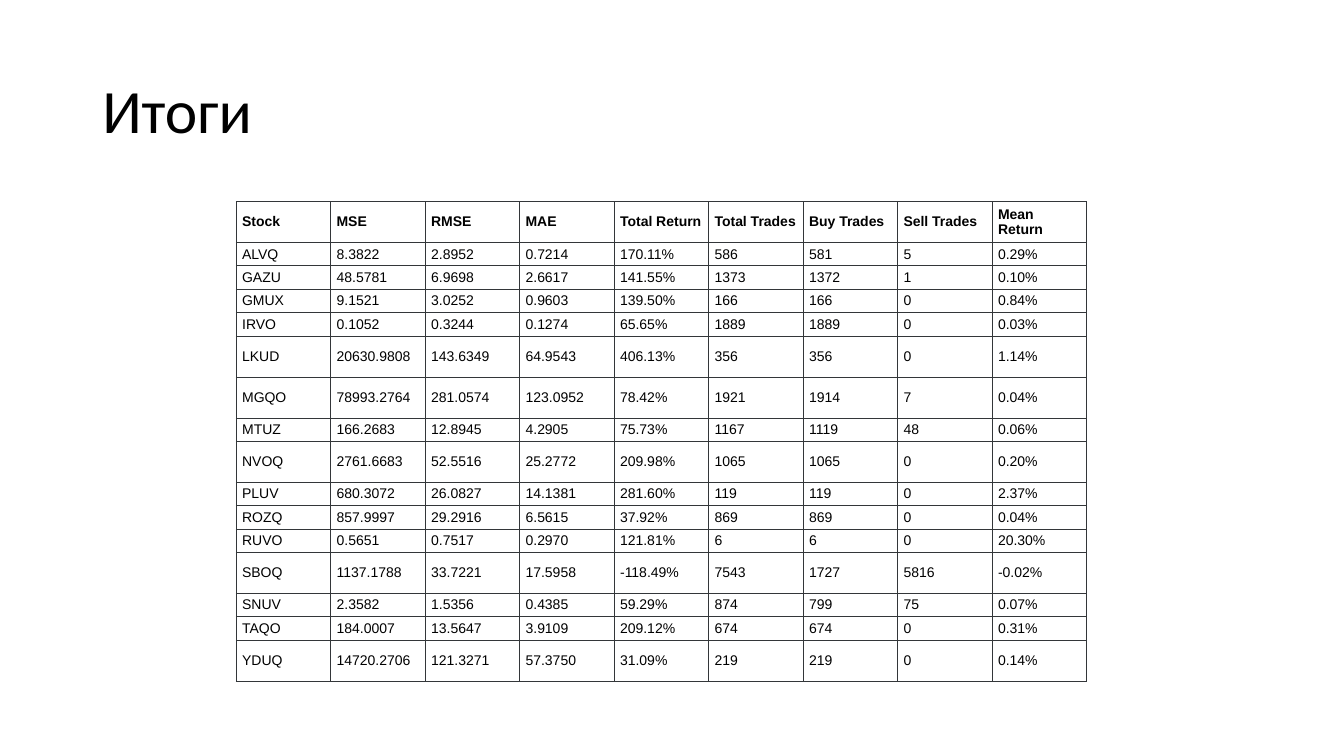
"""Build a slide with a table of trading results per stock."""
import pptx
import pptx.dml.color
import pptx.enum.text
import pptx.oxml
import pptx.oxml.ns
import pptx.util

Pt = pptx.util.Pt
MIDDLE = pptx.enum.text.MSO_ANCHOR.MIDDLE

COLUMN_WIDTH = 67.5
SHORT_ROW = 16.75
TALL_ROW = 29.25
LONGEST_SHORT_MSE = 8

HEADERS = ["Stock", "MSE", "RMSE", "MAE", "Total Return", "Total Trades",
           "Buy Trades", "Sell Trades", "Mean Return"]
RESULTS = [
    ["ALVQ", "8.3822", "2.8952", "0.7214", "170.11%", "586", "581", "5", "0.29%"],
    ["GAZU", "48.5781", "6.9698", "2.6617", "141.55%", "1373", "1372", "1", "0.10%"],
    ["GMUX", "9.1521", "3.0252", "0.9603", "139.50%", "166", "166", "0", "0.84%"],
    ["IRVO", "0.1052", "0.3244", "0.1274", "65.65%", "1889", "1889", "0", "0.03%"],
    ["LKUD", "20630.9808", "143.6349", "64.9543", "406.13%", "356", "356", "0", "1.14%"],
    ["MGQO", "78993.2764", "281.0574", "123.0952", "78.42%", "1921", "1914", "7", "0.04%"],
    ["MTUZ", "166.2683", "12.8945", "4.2905", "75.73%", "1167", "1119", "48", "0.06%"],
    ["NVOQ", "2761.6683", "52.5516", "25.2772", "209.98%", "1065", "1065", "0", "0.20%"],
    ["PLUV", "680.3072", "26.0827", "14.1381", "281.60%", "119", "119", "0", "2.37%"],
    ["ROZQ", "857.9997", "29.2916", "6.5615", "37.92%", "869", "869", "0", "0.04%"],
    ["RUVO", "0.5651", "0.7517", "0.2970", "121.81%", "6", "6", "0", "20.30%"],
    ["SBOQ", "1137.1788", "33.7221", "17.5958", "-118.49%", "7543", "1727", "5816", "-0.02%"],
    ["SNUV", "2.3582", "1.5356", "0.4385", "59.29%", "874", "799", "75", "0.07%"],
    ["TAQO", "184.0007", "13.5647", "3.9109", "209.12%", "674", "674", "0", "0.31%"],
    ["YDUQ", "14720.2706", "121.3271", "57.3750", "31.09%", "219", "219", "0", "0.14%"],
]


def color(value):
    """Return the colour for a hex string."""
    return pptx.dml.color.RGBColor.from_string(value)


def add_run(paragraph, text, font_name, size, bold=False):
    """Add one black run to a paragraph."""
    run = paragraph.add_run()
    run.text = text
    run.font.name = font_name
    run.font.size = Pt(size)
    run.font.bold = bold
    run.font.color.rgb = color("000000")


def add_title(slide, text):
    """Add the slide title."""
    shape = slide.shapes.add_textbox(Pt(66), Pt(28.75), Pt(828), Pt(104.4))
    frame = shape.text_frame
    frame.word_wrap = True
    frame.vertical_anchor = MIDDLE
    paragraph = frame.paragraphs[0]
    paragraph.line_spacing = 0.9
    add_run(paragraph, text, "Calibri", 44)


def set_borders(cell, value, width):
    """Draw a solid line on all four sides of a cell."""
    properties = cell._tc.get_or_add_tcPr()
    namespace = pptx.oxml.ns.nsdecls("a")
    for side in ("lnL", "lnR", "lnT", "lnB"):
        properties.append(pptx.oxml.parse_xml(
            f'<a:{side} {namespace} w="{Pt(width)}"><a:solidFill>'
            f'<a:srgbClr val="{value}"/></a:solidFill></a:{side}>'))


def fill_cell(cell, text, bold):
    """Write and format one table cell."""
    cell.margin_left = cell.margin_right = Pt(4.25)
    cell.margin_top = cell.margin_bottom = Pt(2.25)
    cell.vertical_anchor = MIDDLE
    set_borders(cell, "333639", 0.75)
    cell.fill.background()
    add_run(cell.text_frame.paragraphs[0], text, "Arial", 10, bold)


def add_results_table(slide, headers, results):
    """Add the table, with taller rows for the header and long MSE values."""
    rows = [headers] + results
    heights = [TALL_ROW] + [
        TALL_ROW if len(result[1]) > LONGEST_SHORT_MSE else SHORT_ROW
        for result in results]
    table = slide.shapes.add_table(
        len(rows), len(headers), Pt(168.75), Pt(144),
        Pt(COLUMN_WIDTH * len(headers)), Pt(sum(heights))).table
    table.horz_banding = False
    for column in table.columns:
        column.width = Pt(COLUMN_WIDTH)
    for row_index, (values, height) in enumerate(zip(rows, heights)):
        table.rows[row_index].height = Pt(height)
        for column_index, text in enumerate(values):
            fill_cell(table.cell(row_index, column_index), text, row_index == 0)


def main():
    """Build and save the presentation."""
    presentation = pptx.Presentation()
    presentation.slide_width = Pt(960)
    presentation.slide_height = Pt(540)
    slide = presentation.slides.add_slide(presentation.slide_layouts[6])
    add_title(slide, "Итоги")
    add_results_table(slide, HEADERS, RESULTS)
    presentation.save("out.pptx")


if __name__ == "__main__":
    main()
